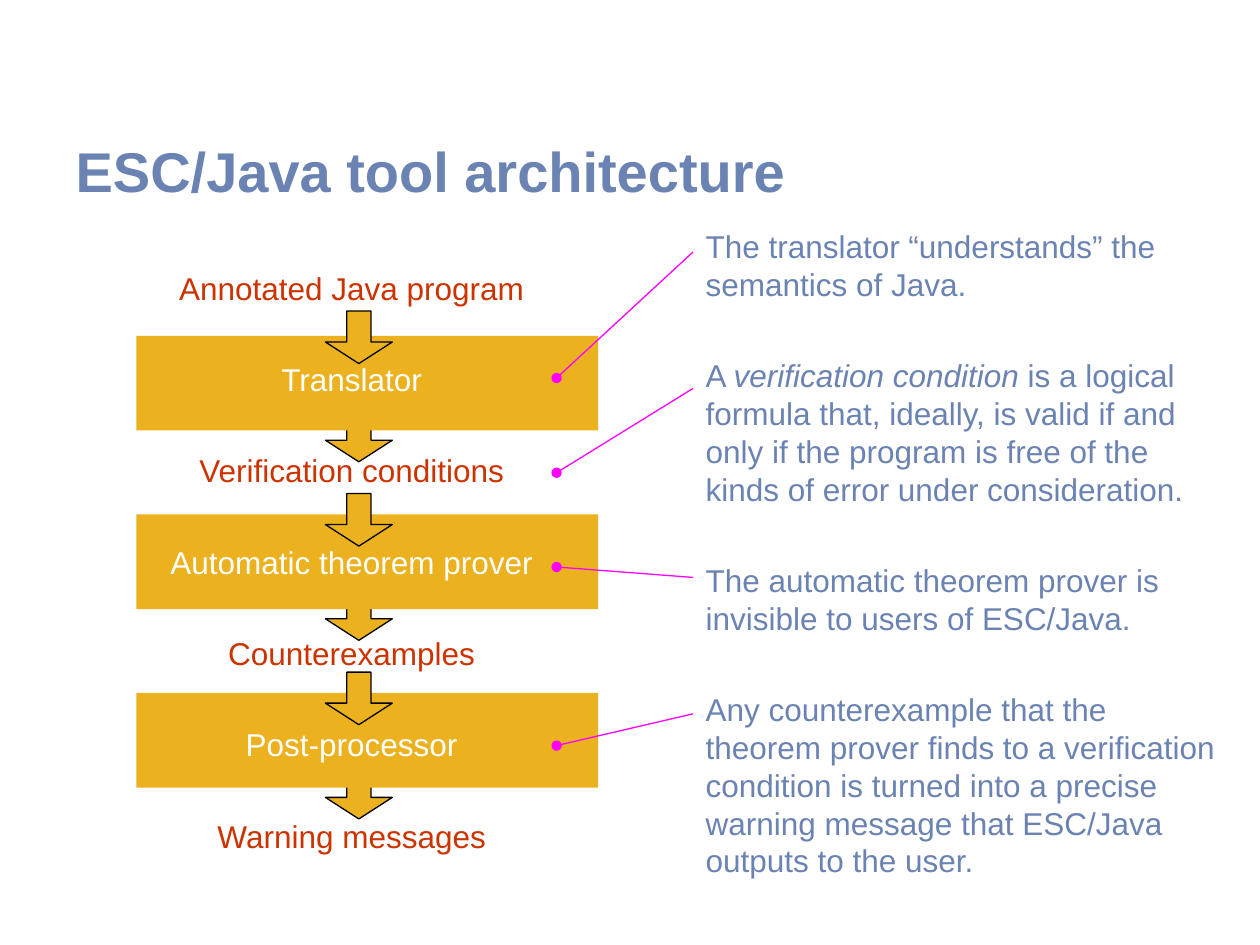
from lxml.etree import SubElement
from pptx import Presentation
from pptx.dml.color import RGBColor
from pptx.enum.shapes import MSO_CONNECTOR as Link, MSO_SHAPE as Shape
from pptx.enum.text import MSO_ANCHOR as Anchor, MSO_AUTO_SIZE as AutoSize, PP_ALIGN as Align
from pptx.oxml.ns import qn
from pptx.util import Cm, Pt

BLUE, GOLD, RED, MAGENTA = "6A83B2", "EBB11F", "CC3300", "FF00FF"
TEXT_FRAME = {"word_wrap": True, "auto_size": AutoSize.NONE, "vertical_anchor": Anchor.TOP}
BODY_FONT = {"name": "Arial", "size": Pt(18), "bold": False}
TITLE_FONT = {"name": "Arial", "size": Pt(32), "bold": True}
STAGES = ["Translator", "Automatic theorem prover", "Post-processor"]
DATA = ["Annotated Java program", "Verification conditions", "Counterexamples",
        "Warning messages"]
NOTES = [
    ["The translator “understands” the semantics of Java."],
    ["A ", "verification condition", " is a logical formula that, ideally, is valid if and "
     "only if the program is free of the kinds of error under consideration."],
    ["The automatic theorem prover is invisible to users of ESC/Java."],
    ["Any counterexample that the theorem prover finds to a verification condition is "
     "turned into a precise warning message that ESC/Java outputs to the user."],
]
CALLOUTS = [(0, 2.54), (2.75, 4.45), (6.56, 6.35), (9.31, 9.95)]
STAGE_PITCH = 3.6
ARROW_LEADS = [0.5, 0.42, 0.42]


def rgb(color):
    """Turn a hex string into a colour."""
    return RGBColor.from_string(color)


def apply(target, values):
    """Set each named attribute of the target."""
    for name, value in values.items():
        setattr(target, name, value)


def place(item, box):
    """Move a placeholder to a box given in centimetres."""
    apply(item, dict(zip(("left", "top", "width", "height"), map(Cm, box))))


def write_paragraph(frame, index, pieces, color, align):
    """Write one spaced paragraph; every second piece is italic."""
    paragraph = frame.paragraphs[0] if index == 0 else frame.add_paragraph()
    properties = paragraph._p.get_or_add_pPr()
    properties.set("marL", "0")
    properties.set("indent", "0")
    SubElement(properties, qn("a:buNone"))
    apply(paragraph, {"alignment": align, "line_spacing": 1.0,
                      "space_before": Pt(30.6 if index else 0)})
    for position, piece in enumerate(pieces):
        run = paragraph.add_run()
        run.text = piece
        apply(run.font, {**BODY_FONT, "italic": position % 2 == 1})
        run.font.color.rgb = rgb(color)


def add_title(slide, box):
    """Fill the title placeholder."""
    title = slide.shapes.title
    place(title, box)
    frame = title.text_frame
    frame.text = "ESC/Java tool architecture"
    apply(frame, {**TEXT_FRAME, "vertical_anchor": Anchor.BOTTOM})
    paragraph = frame.paragraphs[0]
    paragraph.alignment = Align.LEFT
    font = paragraph.runs[0].font
    apply(font, TITLE_FONT)
    font.color.rgb = rgb(BLUE)


def add_block(shapes, kind, box):
    """Add a gold shape without outline or shadow."""
    block = shapes.add_shape(kind, *map(Cm, box))
    block.shadow.inherit = False
    block.fill.solid()
    block.fill.fore_color.rgb = rgb(GOLD)
    block.line.fill.background()
    return block


def add_arrow(shapes, left, top):
    """Add an outlined arrow pointing down."""
    arrow = add_block(shapes, Shape.DOWN_ARROW, (left, top, 1.35, 1.06))
    arrow.adjustments[0], arrow.adjustments[1] = 0.36, 0.41
    arrow.line.color.rgb = rgb("000000")
    arrow.line.width = Pt(0.75)


def add_flow(slide, box):
    """Draw the stages, the arrows around them and the column of labels."""
    left, top, width, height = box
    arrow_left = left + 5.08
    stage_tops = [top + 1.48 + STAGE_PITCH * row for row in range(len(STAGES))]
    for stage_top in stage_tops:
        add_arrow(slide.shapes, arrow_left, stage_top + 1.48)
    stages = slide.shapes.add_group_shape()
    for stage_top in stage_tops:
        add_block(stages.shapes, Shape.RECTANGLE, (left + 1.27, stage_top, 9.31, 1.91))

    frame = slide.shapes.add_textbox(*map(Cm, box)).text_frame
    apply(frame, TEXT_FRAME)
    labels = [(DATA[0], RED)]
    for stage, result in zip(STAGES, DATA[1:]):
        labels += [(stage, "FFFFFF"), (result, RED)]
    for index, (label, color) in enumerate(labels):
        write_paragraph(frame, index, [label], color, Align.CENTER)

    for stage_top, lead in zip(stage_tops, ARROW_LEADS):
        add_arrow(slide.shapes, arrow_left, stage_top - lead)


def add_notes(slide, box):
    """Fill the body placeholder with the explanations."""
    body = slide.placeholders[1]
    place(body, box)
    apply(body.text_frame, TEXT_FRAME)
    for index, pieces in enumerate(NOTES):
        write_paragraph(body.text_frame, index, pieces, BLUE, Align.LEFT)


def add_callouts(slide, box):
    """Link each explanation to its part of the flow with a dotted end."""
    left, top, width, height = box
    for note_y, flow_y in CALLOUTS:
        callout = slide.shapes.add_connector(
            Link.STRAIGHT, Cm(left + width), Cm(top + note_y), Cm(left), Cm(top + flow_y))
        callout.line.color.rgb = rgb(MAGENTA)
        callout.line.width = Pt(0.75)
        SubElement(callout.line._get_or_add_ln(), qn("a:tailEnd"), type="oval")
        SubElement(callout._element.spPr, qn("a:effectLst"))


def main():
    """Build and save the slide."""
    deck = Presentation()
    apply(deck, {"slide_width": Cm(25.4), "slide_height": Cm(19.05)})
    slide = deck.slides.add_slide(deck.slide_layouts[1])
    add_title(slide, (1.27, 1.91, 22.86, 2.33))
    add_flow(slide, (1.48, 5.29, 11.22, 12.49))
    add_notes(slide, (13.97, 4.45, 11, 13.97))
    add_callouts(slide, (11.22, 5.08, 2.75, 9.95))
    deck.save("out.pptx")


if __name__ == "__main__":
    main()
